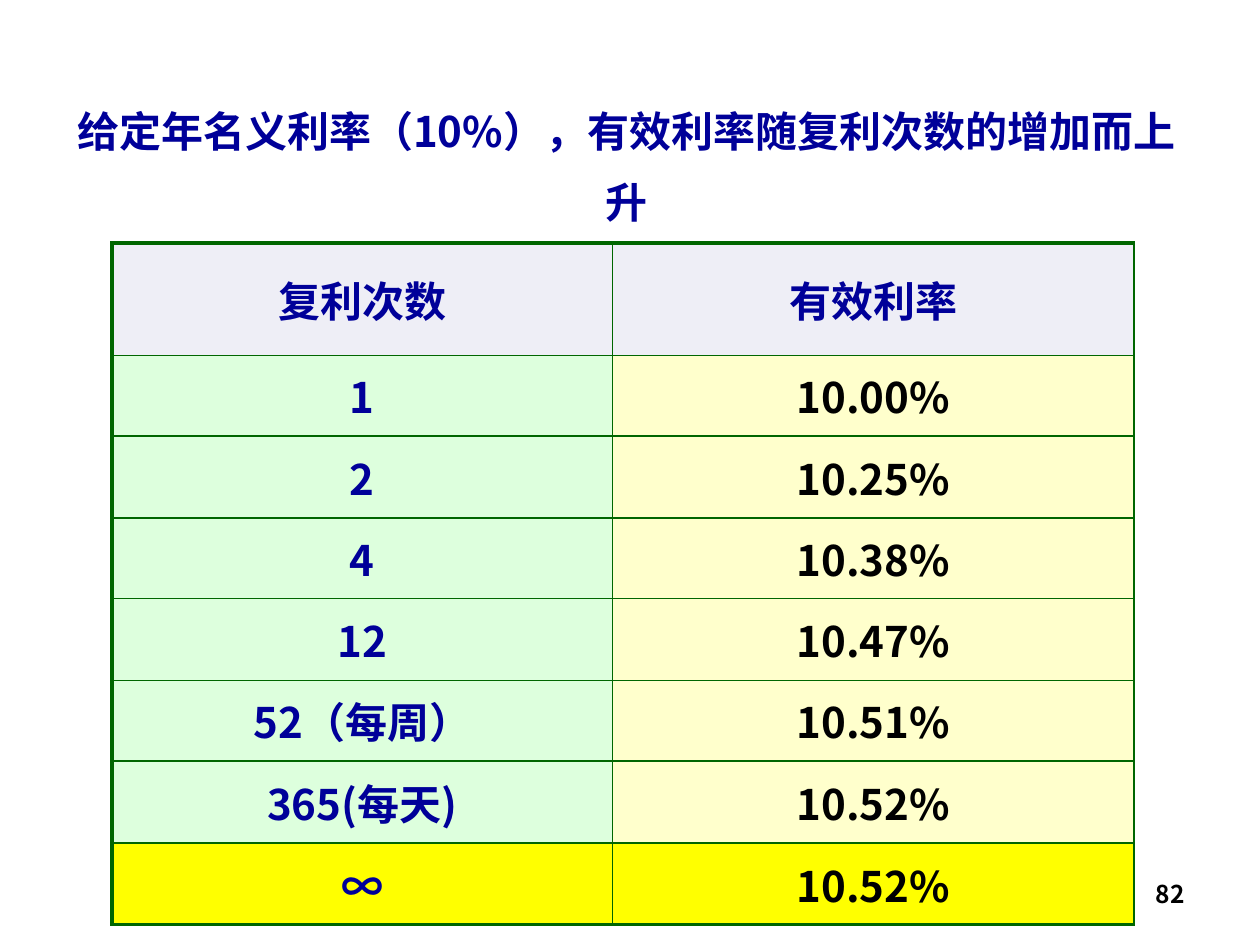
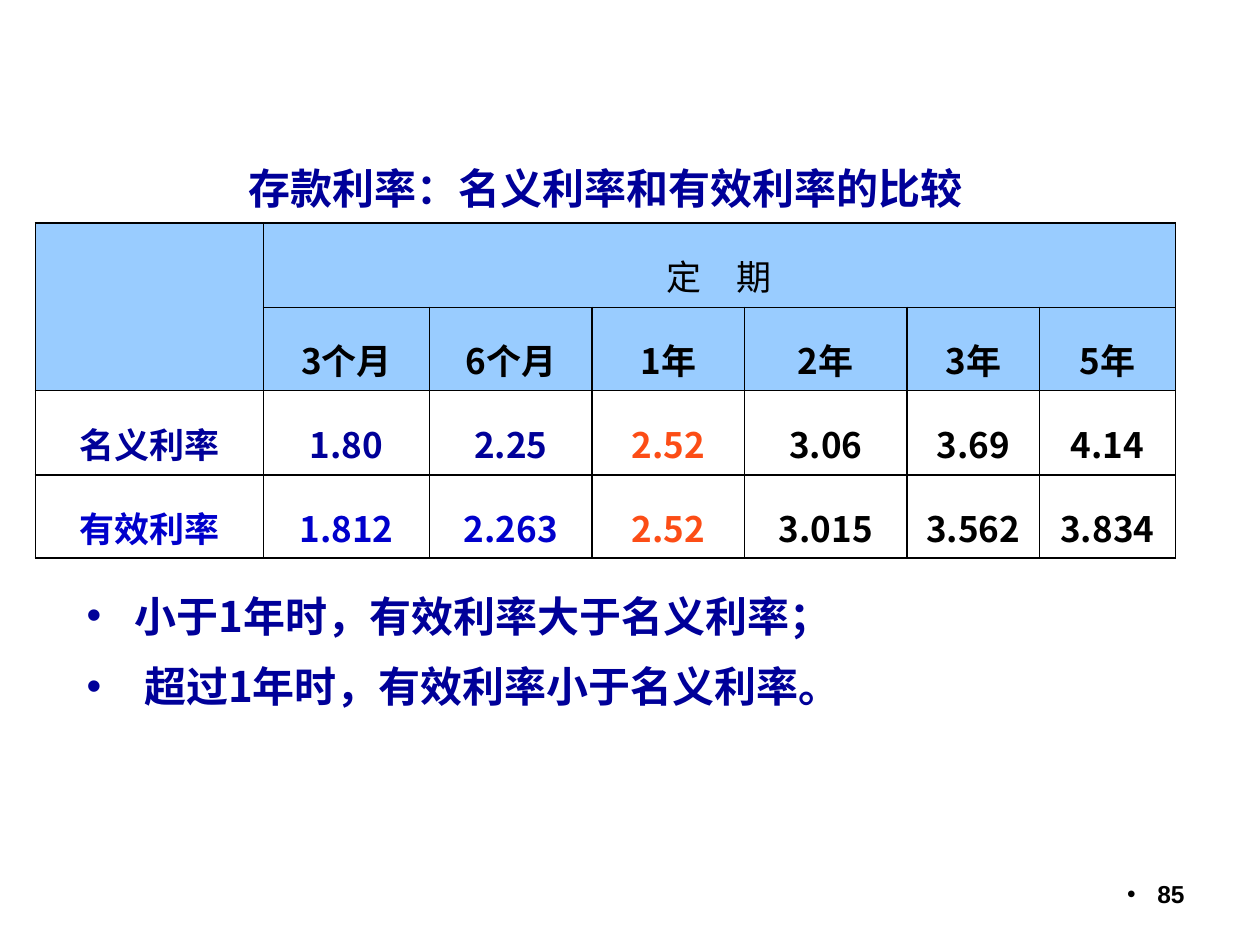
from lxml import etree
from pptx import Presentation, util as u
from pptx.dml.color import RGBColor
from pptx.enum import text as t
from pptx.oxml.ns import qn

PX = 9144  # 100 px to the inch
SANS, ARIAL = "Noto Sans CJK SC", "Arial"

NAVY = RGBColor(0x00, 0x00, 0x99)
BLUE = RGBColor(0x00, 0x00, 0xCC)
BLACK = RGBColor(0x00, 0x00, 0x00)
ORANGE = RGBColor(0xFC, 0x4D, 0x16)
GREEN = RGBColor(0x00, 0x66, 0x00)
GREY = RGBColor(0xEE, 0xEE, 0xF6)
MINT = RGBColor(0xDD, 0xFF, 0xDD)
CREAM = RGBColor(0xFF, 0xFF, 0xCC)
YELLOW = RGBColor(0xFF, 0xFF, 0x00)
SKY = RGBColor(0x99, 0xCC, 0xFF)

LEFT, CENTER, RIGHT = t.PP_ALIGN.LEFT, t.PP_ALIGN.CENTER, t.PP_ALIGN.RIGHT
MIDDLE = t.MSO_ANCHOR.MIDDLE


class Deck:
    """Holds the shared style and the current slide."""

    def __init__(self):
        self.prs = Presentation()
        self.prs.slide_width, self.prs.slide_height = 1000 * PX, 750 * PX
        self.slide = None

    def new(self, title=False):
        self.slide = self.prs.slides.add_slide(self.prs.slide_layouts[5 if title else 6])

    def style(self, para, size=24, color=NAVY, bold=True, font=SANS, align=CENTER, line=None):
        para.alignment = align
        if line:
            para.line_spacing = line
        for run in para.runs:
            face = run.font
            face.size, face.bold, face.name = u.Pt(size), bold, font
            face.color.rgb = color
            etree.SubElement(run._r.get_or_add_rPr(), qn("a:ea"), typeface=font)

    def bullet(self, para, indent):
        props = para._p.get_or_add_pPr()
        props.set("marL", str(indent * PX))
        props.set("indent", str(-indent * PX))
        etree.SubElement(props, qn("a:buFont"), typeface=ARIAL)
        etree.SubElement(props, qn("a:buChar"), char="•")

    def place(self, shape, box):
        shape.left, shape.top, shape.width, shape.height = (v * PX for v in box)

    def title(self, words, box):
        shape = self.slide.shapes.title
        self.place(shape, box)
        frame = shape.text_frame
        frame.text = words
        frame.word_wrap, frame.vertical_anchor = True, MIDDLE
        frame.auto_size = t.MSO_AUTO_SIZE.NONE
        self.style(frame.paragraphs[0], line=u.Pt(41))

    def text(self, words, box):
        frame = self.slide.shapes.add_textbox(*(v * PX for v in box)).text_frame
        frame.word_wrap = True
        frame.text = words
        return frame

    def points(self, lines, box):
        for para in self.text("\n".join(lines), box).paragraphs:
            self.style(para, align=LEFT, line=u.Pt(37))
            para.space_after = u.Pt(3.5)
            self.bullet(para, 38)

    def page(self, num, font, dot=False):
        frame = self.text(num, (717, 683, 233, 52))
        frame.margin_top = 15 * PX
        para = frame.paragraphs[0]
        self.style(para, 14, BLACK, font=font, align=RIGHT)
        if dot:
            self.bullet(para, 24)

    def table(self, at, cols, rows):
        frame = self.slide.shapes.add_table(
            len(rows), len(cols), *(v * PX for v in (*at, sum(cols), sum(rows))))
        grid = frame.table
        grid.first_row = grid.horz_banding = False
        for col, wide in zip(grid.columns, cols):
            col.width = wide * PX
        for row, high in zip(grid.rows, rows):
            row.height = high * PX
        return grid

    def cell(self, cell, words, fill, edges, **look):
        """Edges maps L, R, T, B to (colour, points), or None for no line."""
        cell.vertical_anchor = MIDDLE
        if words:
            cell.text_frame.text = words
            self.style(cell.text_frame.paragraphs[0], **look)
        props = cell._tc.get_or_add_tcPr()
        for side in "LRTB":
            edge = edges.get(side)
            line = etree.SubElement(props, qn("a:ln" + side))
            if edge:
                line.set("w", str(u.Pt(edge[1])))
                paint = etree.SubElement(line, qn("a:solidFill"))
                etree.SubElement(paint, qn("a:srgbClr"), val=str(edge[0]))
            else:
                etree.SubElement(line, qn("a:noFill"))
        if fill is None:
            cell.fill.background()
        else:
            cell.fill.solid()
            cell.fill.fore_color.rgb = fill


def rates(deck):
    deck.new(title=True)
    deck.title("给定年名义利率（10%），有效利率随复利次数的增加而上升", (43, 90, 908, 67))
    deck.page("82", SANS)

    # Effective rate by number of compoundings
    data = [("复利次数", "有效利率"), ("1", "10.00%"), ("2", "10.25%"), ("4", "10.38%"),
            ("12", "10.47%"), ("52（每周）", "10.51%"), ("365(每天)", "10.52%"), ("∞", "10.52%")]
    last = len(data) - 1
    grid = deck.table((89, 193), (397, 414), [89] + [64, 65] * 3 + [65])
    thin, thick = (GREEN, 1), (GREEN, 2.25)
    for r, row in enumerate(data):
        for c, words in enumerate(row):
            fill = {0: GREY, last: YELLOW}.get(r, (MINT, CREAM)[c])
            edges = {"L": thin if c else thick, "R": thin,
                     "T": thin if r else thick, "B": thick if r == last else thin}
            deck.cell(grid.cell(r, c), words, fill, edges, color=BLACK if r and c else NAVY)


def savings(deck):
    deck.new()
    deck.page("85", ARIAL, dot=True)

    # Deposit table: caption row, two header rows, two rate rows
    data = [["存款利率：名义利率和有效利率的比较"] + [""] * 6,
            ["", "定　期"] + [""] * 5,
            ["", "3个月", "6个月", "1年", "2年", "3年", "5年"],
            ["名义利率", "1.80", "2.25", "2.52", "3.06", "3.69", "4.14"],
            ["有效利率", "1.812", "2.263", "2.52", "3.015", "3.562", "3.834"]]
    tints = {0: NAVY, 3: NAVY, 4: BLUE}
    grid = deck.table((28, 99), (181, 132, 129, 121, 129, 105, 108), [78] + [67, 66] * 2)
    for first, end in (((0, 0), (0, 6)), ((1, 0), (2, 0)), ((1, 1), (1, 6))):
        grid.cell(*first).merge(grid.cell(*end))
    rule = (BLACK, 1)
    for r, row in enumerate(data):
        for c, words in enumerate(row):
            color = tints.get(r, BLACK) if c < 3 else BLACK
            if r > 2 and c == 3:
                color = ORANGE
            deck.cell(grid.cell(r, c), words, SKY if r in (1, 2) else None,
                      dict.fromkeys("LRTB" if r else "B", rule),
                      size=20 if r else 24, color=color, bold=r != 1, line=1.4)

    # Findings
    deck.points(["小于1年时，有效利率大于名义利率；", " 超过1年时，有效利率小于名义利率。"],
                (59, 452, 874, 119))


def main():
    deck = Deck()
    rates(deck)
    savings(deck)
    deck.prs.save("out.pptx")


if __name__ == "__main__":
    main()
